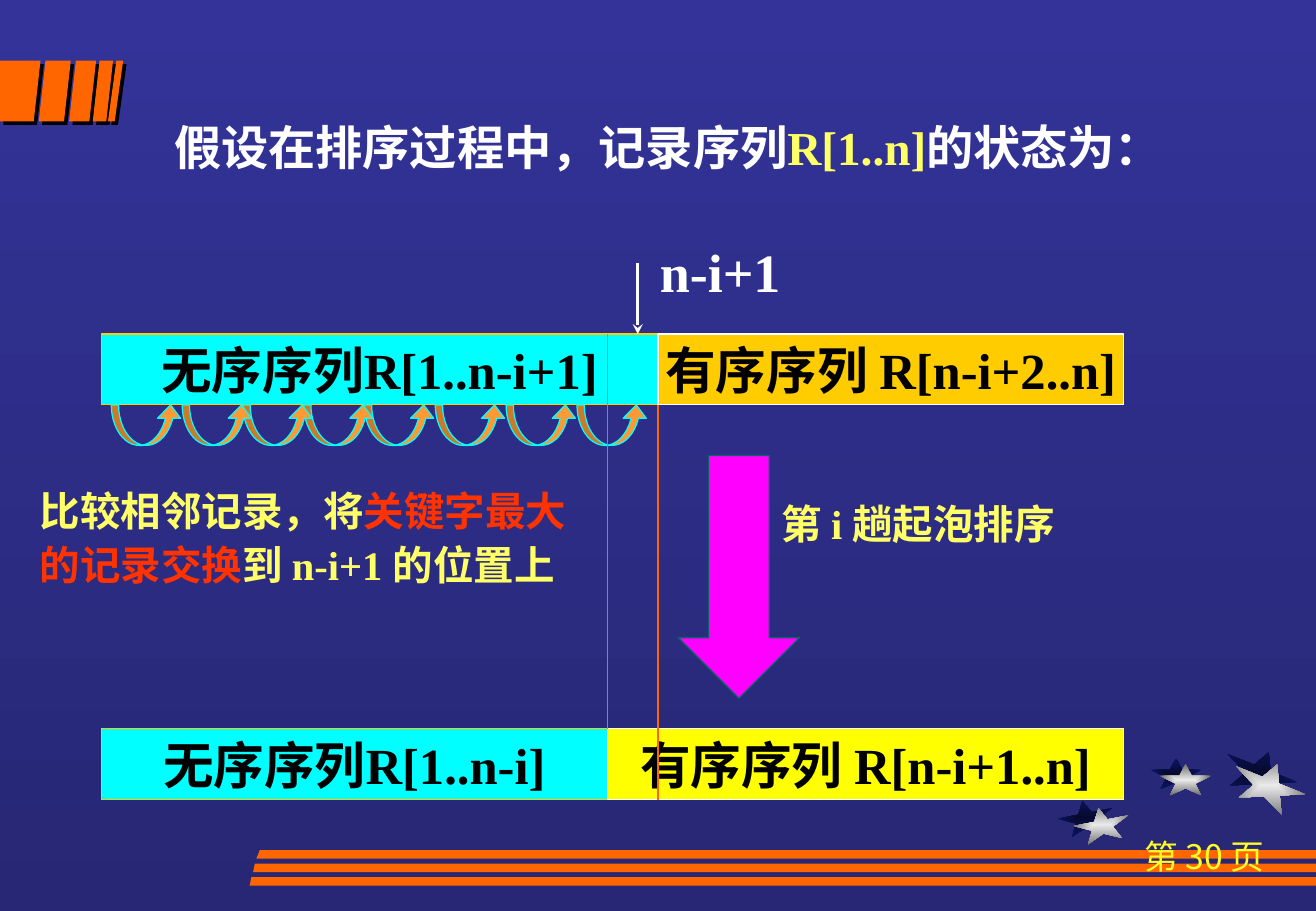
"""Build the bubble sort slide that shows the i-th pass over a record sequence."""
from dataclasses import dataclass

from lxml import etree
from pptx import Presentation
from pptx.dml.color import RGBColor
from pptx.enum import shapes, text
from pptx.oxml import ns
from pptx.util import Pt


@dataclass(frozen=True)
class Theme:
    """Fonts, colours and type sizes of the slide."""
    latin: str = "Times New Roman"
    asian: str = "Noto Sans CJK SC"
    background: tuple = ("333399", "272775")
    dark_star: tuple = ("060A2F", "0D1565")
    light_star: tuple = ("EAEAEA", "6C6C6C")
    orange: str = "FF6600"
    white: str = "FFFFFF"
    black: str = "000000"
    pale_yellow: str = "FFFF66"
    page_yellow: str = "FFFF25"
    red: str = "FF3300"
    cyan: str = "00FFFF"
    gold: str = "FFCC00"
    yellow: str = "FFFF00"
    magenta: str = "FF00FF"
    teal: str = "006666"
    swap: str = "FF9933"
    page_size: int = 20
    note_size: int = 24
    heading_size: int = 28
    record_size: int = 30
    index_size: int = 32


THEME = Theme()
WIDTH, HEIGHT = 780, 540
THIN = 0.75
STAR = [(0, 38), (38, 38), (50, 0), (62, 38), (100, 38),
        (69, 62), (81, 100), (50, 77), (19, 100), (31, 62)]


def rgb(value):
    """Turn a hex string into a colour."""
    return RGBColor.from_string(value)


def add_element(parent, tag, **attributes):
    """Append a drawing element to its parent."""
    return etree.SubElement(parent, ns.qn(tag), attributes)


def set_gradient(fill, colors):
    """Give a fill a two-colour gradient."""
    fill.gradient()
    for stop, color in zip(fill.gradient_stops, colors):
        stop.color.rgb = rgb(color)


def paint(shape, fill, line=None):
    """Set a solid fill and an optional thin outline."""
    shape.shadow.inherit = False
    shape.fill.solid()
    shape.fill.fore_color.rgb = rgb(fill)
    if line:
        shape.line.color.rgb = rgb(line)
        shape.line.width = Pt(THIN)
    else:
        shape.line.fill.background()


def write(frame, pieces, size, spacing=1.0, align=text.PP_ALIGN.LEFT, wrap=True,
          anchor=text.MSO_ANCHOR.TOP, latin=THEME.latin, bold=True):
    """Write coloured pieces of text into one paragraph."""
    frame.word_wrap = wrap
    frame.auto_size = text.MSO_AUTO_SIZE.NONE
    frame.vertical_anchor = anchor
    paragraph = frame.paragraphs[0]
    paragraph.alignment = align
    paragraph.line_spacing = spacing
    for words, color in pieces:
        run = paragraph.add_run()
        run.text = words
        run.font.size = Pt(size)
        run.font.bold = bold
        run.font.name = latin
        run.font.color.rgb = rgb(color)
        add_element(run.font._element, "a:ea", typeface=THEME.asian)


def add_note(slide, box, pieces, size, **options):
    """Add a text box."""
    shape = slide.shapes.add_textbox(*map(Pt, box))
    write(shape.text_frame, pieces, size, **options)


def add_preset(slide, kind, box, fill, line):
    """Add a filled and outlined preset shape."""
    shape = slide.shapes.add_shape(kind, *map(Pt, box))
    paint(shape, fill, line)
    return shape


def add_sequence(slide, left, top, right, words, fill, line):
    """Add one bar that stands for a part of the records."""
    box = left, top, right - left, 42
    shape = add_preset(slide, shapes.MSO_SHAPE.RECTANGLE, box, fill, line)
    write(shape.text_frame, [(words, THEME.black)], THEME.record_size, wrap=False,
          align=text.PP_ALIGN.CENTER, anchor=text.MSO_ANCHOR.MIDDLE)


def add_line(slide, x, top, bottom, color, width, head=None):
    """Add a vertical line, with an arrowhead at its foot if asked."""
    line = slide.shapes.add_connector(
        shapes.MSO_CONNECTOR.STRAIGHT, Pt(x), Pt(top), Pt(x), Pt(bottom))
    line.line.color.rgb = rgb(color)
    line.line.width = Pt(width)
    if head:
        add_element(line.line._ln, "a:tailEnd", type=head)
    add_element(line._element.spPr, "a:effectLst")


def add_polygon(slide, points, fill):
    """Add a closed outline given in points."""
    builder = slide.shapes.build_freeform(*points[0], scale=Pt(1))
    builder.add_line_segments(points[1:])
    shape = builder.convert_to_shape()
    paint(shape, fill)
    return shape


def add_star(slide, left, top, width, height, angle, colors):
    """Add a tilted star shaded from its centre outwards."""
    scale = Pt(width) / 100, Pt(height) / 100
    builder = slide.shapes.build_freeform(*STAR[0], scale=scale)
    builder.add_line_segments(STAR[1:])
    star = builder.convert_to_shape(Pt(left), Pt(top))
    paint(star, colors[0])
    set_gradient(star.fill, colors)
    star.rotation = angle
    gradient = star._element.spPr.find(ns.qn("a:gradFill"))
    gradient.remove(gradient.find(ns.qn("a:lin")))
    shade = add_element(gradient, "a:path", path="rect")
    add_element(shade, "a:fillToRect", l="50000", t="50000", r="50000", b="50000")


def add_slab(slide, left, right):
    """Add one slanted slab with a hard shadow."""
    slant, top, bottom = 4.3, 36, 72
    points = [(left, top), (right, top), (right - slant, bottom),
              (max(left - slant, 0), bottom)]
    slab = add_polygon(slide, points, THEME.orange)
    effects = slab._element.spPr.find(ns.qn("a:effectLst"))
    shadow = add_element(effects, "a:outerShdw", dist=str(Pt(2.8)), dir="2700000",
                         algn="ctr", rotWithShape="0")
    add_element(shadow, "a:srgbClr", val=THEME.black)


def add_decoration(slide):
    """Add the stars, slabs, stripes and page number."""
    small, flat, large = (33, 20), (30.2, 18.7), (44, 26.6)
    for left, top, size, angle, colors in [
            (627, 474.5, small, -11, THEME.dark_star),
            (682, 449.3, flat, 0, THEME.dark_star),
            (725, 445, large, 22, THEME.dark_star),
            (636.5, 478.8, small, -11, THEME.light_star),
            (687.6, 452.9, flat, 0, THEME.light_star),
            (730, 452.2, large, 22, THEME.light_star)]:
        add_star(slide, left, top, *size, angle, colors)
    for left, right in [(0, 24), (27, 42.5), (45, 57), (59, 67), (68.6, 72.8)]:
        add_slab(slide, left, right)
    for row in range(3):
        left, top = 152 - 2.15 * row, 504 + 7.9 * row
        add_polygon(slide, [(left + 1.6, top), (WIDTH, top), (WIDTH, top + 5.4),
                            (left, top + 5.4)], THEME.orange)
    add_note(slide, (648, 492, 132, 40), [("第 30 页", THEME.page_yellow)], THEME.page_size,
             align=text.PP_ALIGN.CENTER, latin=THEME.asian, bold=False)


def add_heading(slide):
    """Fill the title placeholder."""
    title = slide.shapes.title
    title.left, title.top, title.width, title.height = map(Pt, (96, 60, 596, 90))
    write(title.text_frame, [("假设在排序过程中，记录序列", THEME.white),
                             ("R[1..n]", THEME.pale_yellow),
                             ("的状态为：", THEME.white)], THEME.heading_size, spacing=1.2)


def add_pass(slide):
    """Add the records before and after the pass, and what happens between."""
    start, new_split, old_split, end = 60, 360, 390, 666
    before, after = 198, 432
    add_note(slide, (456, 288, 264, 40), [("第 i 趟起泡排序", THEME.pale_yellow)],
             THEME.note_size, spacing=1.15)
    add_sequence(slide, start, before, old_split, "无序序列R[1..n-i+1]", THEME.cyan, THEME.gold)
    add_sequence(slide, old_split, before, end, "有序序列 R[n-i+2..n]", THEME.gold, THEME.white)
    add_line(slide, 378, 156, before, THEME.white, 1.5, head="stealth")
    add_note(slide, (384, 138, 86, 46), [("n-i+1", THEME.white)], THEME.index_size, wrap=False)
    add_sequence(slide, start, after, new_split, "无序序列R[1..n-i]", THEME.cyan, THEME.gold)
    add_sequence(slide, new_split, after, end, "有序序列 R[n-i+1..n]", THEME.yellow, THEME.white)
    add_preset(slide, shapes.MSO_SHAPE.DOWN_ARROW, (402, 270, 72, 144),
               THEME.magenta, THEME.teal)
    add_note(slide, (16.5, 282, 331, 102), [("比较相邻记录，将", THEME.pale_yellow),
                                            ("关键字最大的记录交换", THEME.red),
                                            ("到 n-i+1 的位置上", THEME.pale_yellow)],
             THEME.note_size, spacing=1.1)
    for left in (342, 300, 258, 216, 180, 144, 108, 66):
        arrow = add_preset(slide, shapes.MSO_SHAPE.CURVED_UP_ARROW, (left, 240, 42, 24),
                           THEME.swap, THEME.cyan)
        for index, value in enumerate((0.18, 0.57, 0.33)):
            arrow.adjustments[index] = value
    add_line(slide, old_split, before + 42, after + 42, THEME.orange, THIN)
    add_line(slide, new_split, before, after, THEME.orange, THIN)


def main():
    """Build and save the slide."""
    presentation = Presentation()
    presentation.slide_width, presentation.slide_height = Pt(WIDTH), Pt(HEIGHT)
    slide = presentation.slides.add_slide(presentation.slide_layouts[5])
    set_gradient(slide.background.fill, THEME.background)
    slide.background.fill.gradient_angle = 270
    add_decoration(slide)
    add_heading(slide)
    add_pass(slide)
    presentation.save("out.pptx")


if __name__ == "__main__":
    main()
